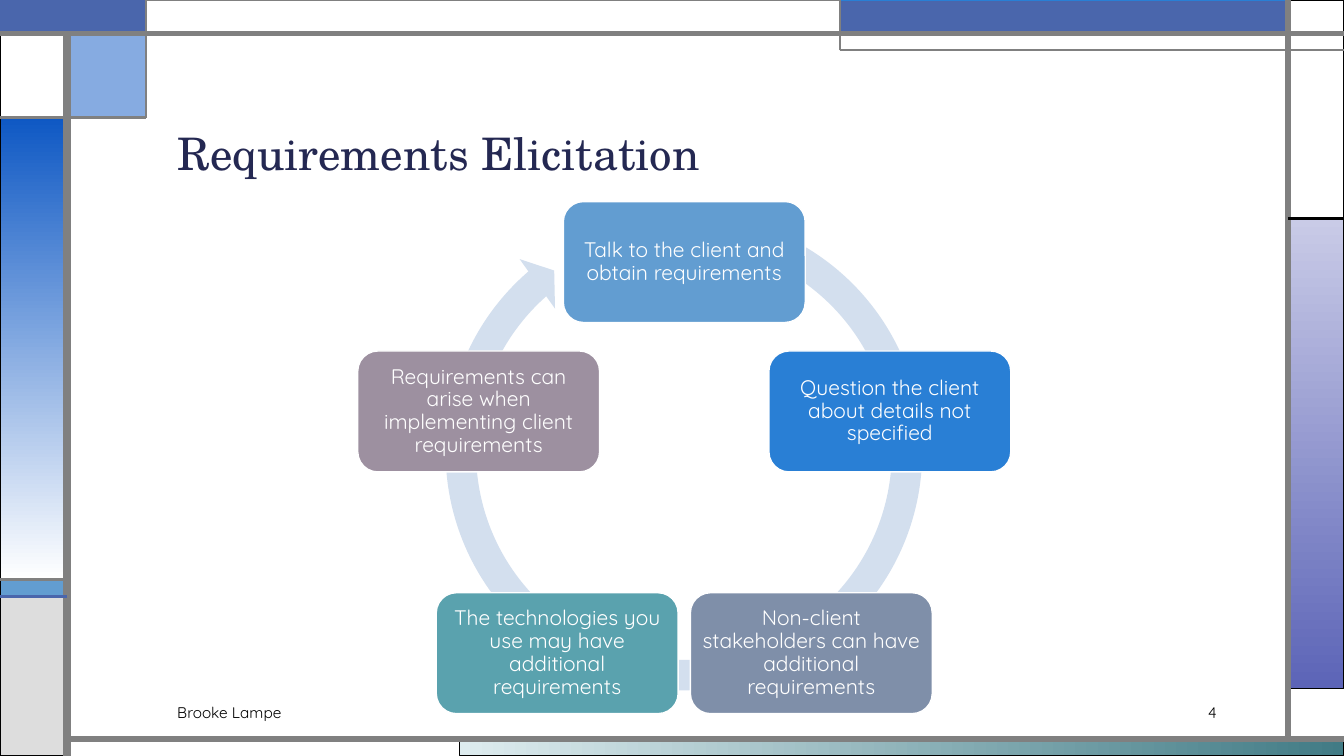
from math import cos, radians, sin

from lxml.etree import SubElement
from pptx import Presentation
from pptx.dml.color import RGBColor
from pptx.enum.shapes import MSO_CONNECTOR, MSO_SHAPE
from pptx.enum.text import MSO_ANCHOR, PP_ALIGN
from pptx.oxml.ns import qn
from pptx.util import Inches, Pt

COLORS = {
    "white": "FFFFFF", "black": "000000", "gray": "808080", "silver": "DDDDDD",
    "navy": "242852", "indigo": "4A66AC", "royal": "0E58C4", "sky": "629DD1",
    "azure": "297FD5", "slate": "7F8FA9", "teal": "5AA2AE", "mauve": "9D90A0",
    "ring": "D3DFEE", "mist": "DEECEF", "pine": "417B85",
    "lilac": "C9CBE7", "violet": "5C64B7",
}


class Deck:
    """Draws styled elements on the current slide over a 120 by 45 grid."""

    cols, rows = 120, 45
    title_font, body_font = "TeX Gyre Schola", "Quicksand"

    def __init__(self):
        self.prs = Presentation()
        self.prs.slide_width, self.prs.slide_height = Inches(13.33), Inches(7.5)
        self.slide = self.prs.slides.add_slide(self.prs.slide_layouts[6])

    def grid(self, col, row):
        return (round(self.prs.slide_width * col / self.cols),
                round(self.prs.slide_height * row / self.rows))

    def color(self, name):
        return RGBColor.from_string(COLORS[name])

    def shape(self, kind, at, fill, line=None, width=0.75, alpha=None):
        s = self.slide.shapes.add_shape(kind, *self.grid(*at[:2]), *self.grid(*at[2:]))
        s.shadow.inherit = False
        s.fill.solid()
        s.fill.fore_color.rgb = self.color(fill)
        if alpha:
            rgb = s._element.spPr.find(qn("a:solidFill")).find(qn("a:srgbClr"))
            SubElement(rgb, qn("a:alpha")).set("val", str(alpha * 1000))
        if line:
            s.line.color.rgb = self.color(line)
            s.line.width = Pt(width)
        else:
            s.line.fill.background()
        return s

    def gradient(self, at, start, end, angle):
        s = self.shape(MSO_SHAPE.RECTANGLE, at, start, "black")
        s.fill.gradient()
        s.fill.gradient_angle = angle
        for stop, name in zip(s.fill.gradient_stops, (start, end)):
            stop.color.rgb = self.color(name)

    def line(self, start, end, color, width):
        s = self.slide.shapes.add_connector(
            MSO_CONNECTOR.STRAIGHT, *self.grid(*start), *self.grid(*end))
        s.line.color.rgb = self.color(color)
        s.line.width = Pt(width)
        SubElement(s._element.spPr, qn("a:effectLst"))

    def label(self, s, text, size, color, font=body_font, align=PP_ALIGN.LEFT,
              anchor=MSO_ANCHOR.MIDDLE, spacing=None):
        tf = s.text_frame
        tf.word_wrap = True
        tf.vertical_anchor = anchor
        p = tf.paragraphs[0]
        p.text = text
        p.alignment = align
        p.line_spacing = spacing
        p.font.size, p.font.name = Pt(size), font
        p.font.color.rgb = self.color(color)

    def text(self, at, text, size, color, **style):
        s = self.slide.shapes.add_textbox(*self.grid(*at[:2]), *self.grid(*at[2:]))
        self.label(s, text, size, color, **style)

    def step(self, center, text, fill):
        w, h = 21.6, 7.2
        at = (center[0] - w / 2, center[1] - h / 2, w, h)
        s = self.shape(MSO_SHAPE.ROUNDED_RECTANGLE, at, fill, "white", 1)
        tf = s.text_frame
        tf.margin_left = tf.margin_right = tf.margin_top = tf.margin_bottom = Inches(0.06)
        self.label(s, text, 15, "white", align=PP_ALIGN.CENTER, spacing=0.9)

    def cycle(self, center, radius, steps):
        s = self.shape(MSO_SHAPE.CIRCULAR_ARROW, (38.43, 11.82, 45.27, 30.18), "ring")
        for i, value in enumerate((0.06, 3.31, 137.36, 174.1, 0.06)):
            s.adjustments[i] = value
        for i, (text, fill) in enumerate(steps):
            angle = radians(360 / len(steps) * i)
            self.step((center[0] + radius[0] * sin(angle),
                       center[1] - radius[1] * cos(angle)), text, fill)


PANELS = [
    ((0, 34.5, 6, 1), "sky", "black", 0.75, None),
    ((0, 35.5, 6, 9.5), "silver", "black", 0.75, None),
    ((115, 0, 5, 13), "white", "black", 0.75, None),
    ((75, 0, 40, 2), "indigo", "azure", 0.75, None),
    ((6, 2, 7, 5), "royal", "black", 0.75, 50),
    ((0, 2, 6, 5), "white", "black", 0.75, None),
    ((0, 0, 13, 2), "indigo", "indigo", 1.5, None),
    ((13, 0, 62, 2), "white", "gray", 0.75, None),
]
GRADIENTS = [
    ((41, 44, 79, 1), "mist", "pine", 0),
    ((115, 13, 5, 28), "lilac", "violet", 270),
    ((0, 7, 6, 27.5), "royal", "white", 270),
]
LINES = [
    ((6, 45), (6, 2), "gray", 6),
    ((6, 44), (120, 44), "gray", 4.5),
    ((115, 44), (115, 0), "gray", 4.5),
    ((0, 2), (120, 2), "gray", 3),
    ((120, 3), (75, 3), "gray", 1.5),
    ((75, 3), (75, 0), "gray", 1.5),
    ((115, 13), (120, 13), "black", 2.25),
    ((13, 0), (13, 7), "gray", 1.5),
    ((13, 7), (0, 7), "gray", 2.25),
    ((6, 34.5), (0, 34.5), "gray", 2.25),
    ((6, 35.5), (0, 35.5), "indigo", 2.25),
]
STEPS = [
    ("Talk to the client and obtain requirements", "sky"),
    ("Question the client about details not specified", "azure"),
    ("Non-client stakeholders can have additional requirements", "slate"),
    ("The technologies you use may have additional requirements", "teal"),
    ("Requirements can arise when implementing client requirements", "mauve"),
]


def main():
    deck = Deck()
    for gradient in GRADIENTS:
        deck.gradient(*gradient)
    for panel in PANELS:
        deck.shape(MSO_SHAPE.RECTANGLE, *panel)
    for line in LINES:
        deck.line(*line)
    deck.text((14.94, 3.5, 94.5, 7.5), "Requirements Elicitation", 32, "navy",
              font=deck.title_font, anchor=MSO_ANCHOR.BOTTOM, spacing=0.9)
    deck.cycle((61.1, 28.47), (19.3, 12.87), STEPS)
    deck.text((14.94, 41.5, 67.5, 1.8), "Brooke Lampe", 11, "black")
    deck.text((99.8, 41.5, 9.72, 1.8), "4", 11, "black", align=PP_ALIGN.RIGHT)
    deck.prs.save("out.pptx")


if __name__ == "__main__":
    main()
